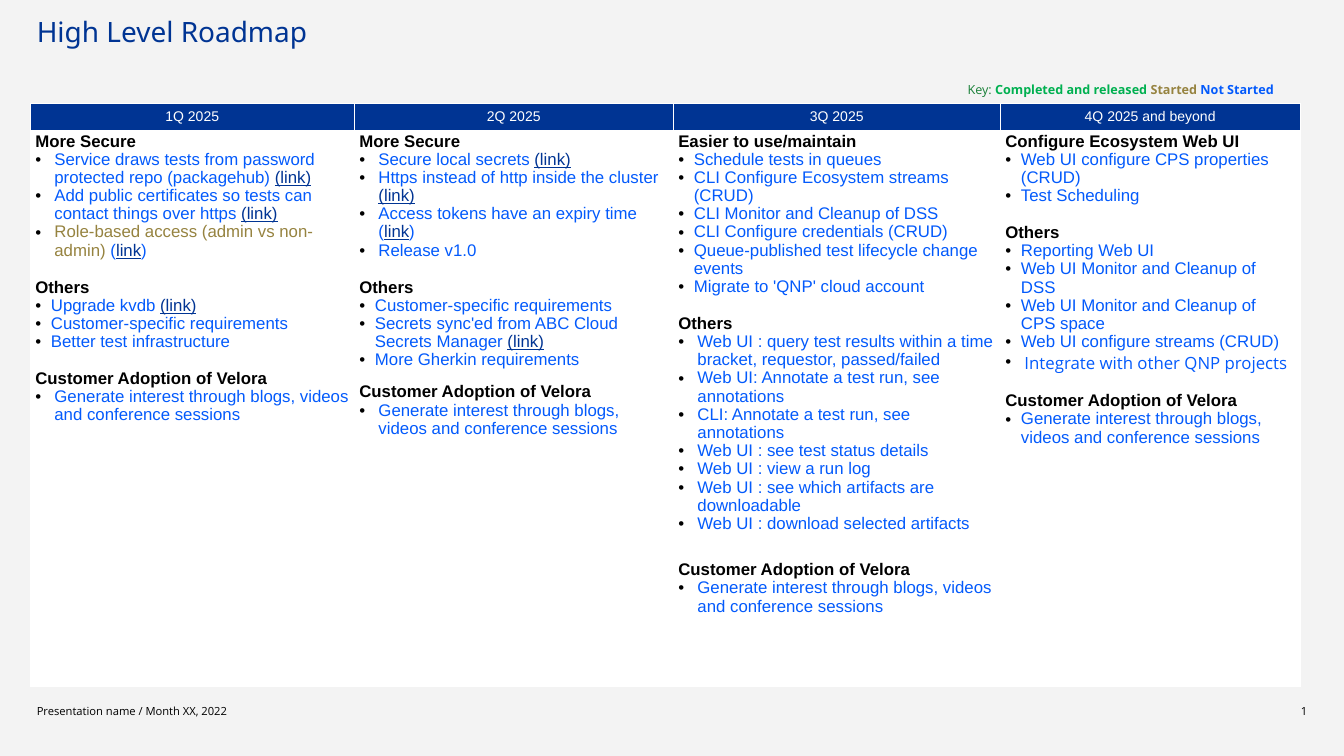
from dataclasses import dataclass

from lxml.etree import SubElement
from pptx import Presentation
from pptx.dml.color import RGBColor
from pptx.enum.text import MSO_ANCHOR, PP_ALIGN
from pptx.oxml.ns import qn
from pptx.util import Inches, Pt

NAVY = RGBColor(0x00, 0x34, 0x93)
BLUE = RGBColor(0x03, 0x5A, 0xFC)
GOLD = RGBColor(0x96, 0x83, 0x40)
GREEN = RGBColor(0x00, 0xB0, 0x50)
DARK_GREEN = RGBColor(0x19, 0x80, 0x38)
BLACK = RGBColor(0x00, 0x00, 0x00)
WHITE = RGBColor(0xFF, 0xFF, 0xFF)
PALE_GRAY = RGBColor(0xF3, 0xF3, 0xF3)

NARROW, WIDE = 0.31, 0.38
LINE_SPACING = 0.97
BLANK_LINE = 26.8


@dataclass(frozen=True)
class Span:
    text: str
    color: RGBColor = BLUE
    bold: bool = False
    underline: bool = False


@dataclass(frozen=True)
class Item:
    spans: tuple[Span, ...]
    font: str = "Arial"
    indent: float | None = None


@dataclass(frozen=True)
class Section:
    heading: str
    indent: float
    items: tuple[Item, ...]
    gap: float = BLANK_LINE


@dataclass(frozen=True)
class Quarter:
    name: str
    width: float
    sections: tuple[Section, ...]


def task(text: str, font: str = "Arial", indent: float | None = None) -> Item:
    return Item((Span(text),), font, indent)


def linked(text: str, color: RGBColor = BLUE) -> Item:
    return Item((Span(text, color), Span("(link)", NAVY, underline=True)))


def inner_linked(text: str, color: RGBColor = BLUE) -> Item:
    return Item((Span(text, color), Span("("), Span("link", NAVY, underline=True), Span(")")))


def adoption(text: str, indent: float = WIDE, gap: float = BLANK_LINE) -> Section:
    return Section("Customer Adoption of Velora", indent, (task(text),), gap)


QUARTERS = (
    Quarter("1Q 2025", 6.43, (
        Section("More Secure", WIDE, (
            linked("Service draws tests from password protected repo (packagehub) "),
            linked("Add public certificates so tests can contact things over https "),
            inner_linked("Role-based access (admin vs non-admin) ", GOLD),
        )),
        Section("Others", NARROW, (
            linked("Upgrade kvdb "),
            task("Customer-specific requirements"),
            task("Better test infrastructure"),
        )),
        adoption("Generate interest through blogs, videos and conference sessions"),
    )),
    Quarter("2Q 2025", 6.33, (
        Section("More Secure", WIDE, (
            linked("Secure local secrets "),
            linked("Https instead of http inside the cluster "),
            inner_linked("Access tokens have an expiry time "),
            task("Release v1.0"),
        )),
        Section("Others", NARROW, (
            task("Customer-specific requirements"),
            linked("Secrets sync'ed from ABC Cloud Secrets Manager "),
            task("More Gherkin requirements"),
        )),
        adoption("Generate interest through blogs, videos and conference sessions", gap=20),
    )),
    Quarter("3Q 2025", 6.49, (
        Section("Easier to use/maintain", NARROW, (
            task("Schedule tests in queues"),
            task("CLI Configure Ecosystem streams (CRUD)"),
            task("CLI Monitor and Cleanup of DSS"),
            task("CLI Configure credentials (CRUD)"),
            task("Queue-published test lifecycle change events"),
            task("Migrate to 'QNP' cloud account"),
        )),
        Section("Others", WIDE, (
            task("Web UI : query test results within a time bracket, requestor, passed/failed"),
            task("Web UI: Annotate a test run, see annotations"),
            task("CLI: Annotate a test run, see annotations"),
            task("Web UI : see test status details"),
            task("Web UI : view a run log"),
            task("Web UI : see which artifacts are downloadable"),
            task("Web UI : download selected artifacts"),
        )),
        adoption("Generate interest through blogs, videos and conference sessions", gap=40.2),
    )),
    Quarter("4Q 2025 and beyond", 5.95, (
        Section("Configure Ecosystem Web UI", NARROW, (
            task("Web UI configure CPS properties (CRUD)"),
            task("Test Scheduling"),
        )),
        Section("Others", NARROW, (
            task("Reporting Web UI"),
            task("Web UI Monitor and Cleanup of DSS"),
            task("Web UI Monitor and Cleanup of CPS space"),
            task("Web UI configure streams (CRUD)"),
            task("Integrate with other QNP projects", "Open Sans", WIDE),
        )),
        adoption("Generate interest through blogs, videos and conference sessions", NARROW),
    )),
)

STATUS_KEY = (
    Span("Key: ", DARK_GREEN),
    Span("Completed and released ", GREEN, bold=True),
    Span("Started ", GOLD, bold=True),
    Span("Not Started", BLUE, bold=True),
)


def style(font, name: str, size: float, color: RGBColor, bold: bool = False) -> None:
    font.name = name
    font.size = Pt(size)
    font.color.rgb = color
    font.bold = bold


def add_spans(paragraph, spans: tuple[Span, ...], name: str, size: float) -> None:
    for span in spans:
        run = paragraph.add_run()
        run.text = span.text
        style(run.font, name, size, span.color, span.bold)
        if span.underline:
            run.font.underline = True


def add_bullet(paragraph, indent: float) -> None:
    properties = paragraph._p.get_or_add_pPr()
    properties.set("marL", str(Inches(indent)))
    properties.set("indent", str(-Inches(indent)))
    bullet_color = SubElement(properties, qn("a:buClr"))
    SubElement(bullet_color, qn("a:srgbClr"), val=str(BLACK))
    SubElement(properties, qn("a:buFont"), typeface="Arial")
    SubElement(properties, qn("a:buChar"), char="•")


def fill_header(cell, name: str) -> None:
    cell.fill.solid()
    cell.fill.fore_color.rgb = NAVY
    cell.vertical_anchor = MSO_ANCHOR.MIDDLE
    paragraph = cell.text_frame.paragraphs[0]
    paragraph.text = name
    paragraph.alignment = PP_ALIGN.CENTER
    style(paragraph.runs[0].font, "Arial", 20, WHITE)


def fill_plan(cell, sections: tuple[Section, ...]) -> None:
    cell.fill.solid()
    cell.fill.fore_color.rgb = WHITE
    frame = cell.text_frame
    for position, section in enumerate(sections):
        heading = frame.add_paragraph() if position else frame.paragraphs[0]
        heading.line_spacing = LINE_SPACING
        if position:
            heading.space_before = Pt(section.gap)
        add_spans(heading, (Span(section.heading, BLACK, bold=True),), "Arial", 24)
        for item in section.items:
            paragraph = frame.add_paragraph()
            paragraph.line_spacing = LINE_SPACING
            add_bullet(paragraph, item.indent or section.indent)
            add_spans(paragraph, item.spans, item.font, 24)


def clear_margins(frame) -> None:
    frame.margin_left = frame.margin_right = frame.margin_top = frame.margin_bottom = 0


def add_label(slide, left: float, top: float, width: float, height: float,
              spans: tuple[Span, ...], size: float, wrap: bool = True,
              anchor=MSO_ANCHOR.MIDDLE, alignment=PP_ALIGN.LEFT) -> None:
    label = slide.shapes.add_textbox(Inches(left), Inches(top), Inches(width), Inches(height))
    frame = label.text_frame
    clear_margins(frame)
    frame.word_wrap = wrap
    frame.vertical_anchor = anchor
    frame.paragraphs[0].alignment = alignment
    add_spans(frame.paragraphs[0], spans, "Open Sans", size)


def add_roadmap(slide) -> None:
    roadmap = slide.shapes.add_table(2, len(QUARTERS), Inches(0.6), Inches(2.04),
                                     Inches(25.2), Inches(11.58)).table
    roadmap.horz_banding = False
    roadmap.rows[0].height = Inches(0.54)
    roadmap.rows[1].height = Inches(11.04)
    for column, quarter in enumerate(QUARTERS):
        roadmap.columns[column].width = Inches(quarter.width)
        fill_header(roadmap.cell(0, column), quarter.name)
        fill_plan(roadmap.cell(1, column), quarter.sections)


def main() -> None:
    deck = Presentation()
    deck.slide_width = Inches(26.67)
    deck.slide_height = Inches(15)
    slide = deck.slides.add_slide(deck.slide_layouts[5])
    slide.background.fill.solid()
    slide.background.fill.fore_color.rgb = PALE_GRAY

    title = slide.shapes.title
    title.left, title.top = Inches(0.73), Inches(0.33)
    title.width, title.height = Inches(25.21), Inches(0.8)
    frame = title.text_frame
    frame.text = "High Level Roadmap"
    clear_margins(frame)
    frame.vertical_anchor = MSO_ANCHOR.TOP
    frame.paragraphs[0].alignment = PP_ALIGN.LEFT
    frame.paragraphs[0].line_spacing = 0.95
    style(frame.paragraphs[0].runs[0].font, "Noto Sans", 40, NAVY)

    add_label(slide, 0.73, 13.9, 11.97, 0.42,
              (Span("Presentation name / Month XX, 2022", BLACK),), 16)
    add_label(slide, 20.58, 13.9, 5.36, 0.42, (Span("1", BLACK),), 16,
              alignment=PP_ALIGN.RIGHT)
    add_roadmap(slide)
    add_label(slide, 19.2, 1.63, 7.15, 0.4, STATUS_KEY, 18, wrap=False, anchor=MSO_ANCHOR.TOP)
    deck.save("out.pptx")


if __name__ == "__main__":
    main()
